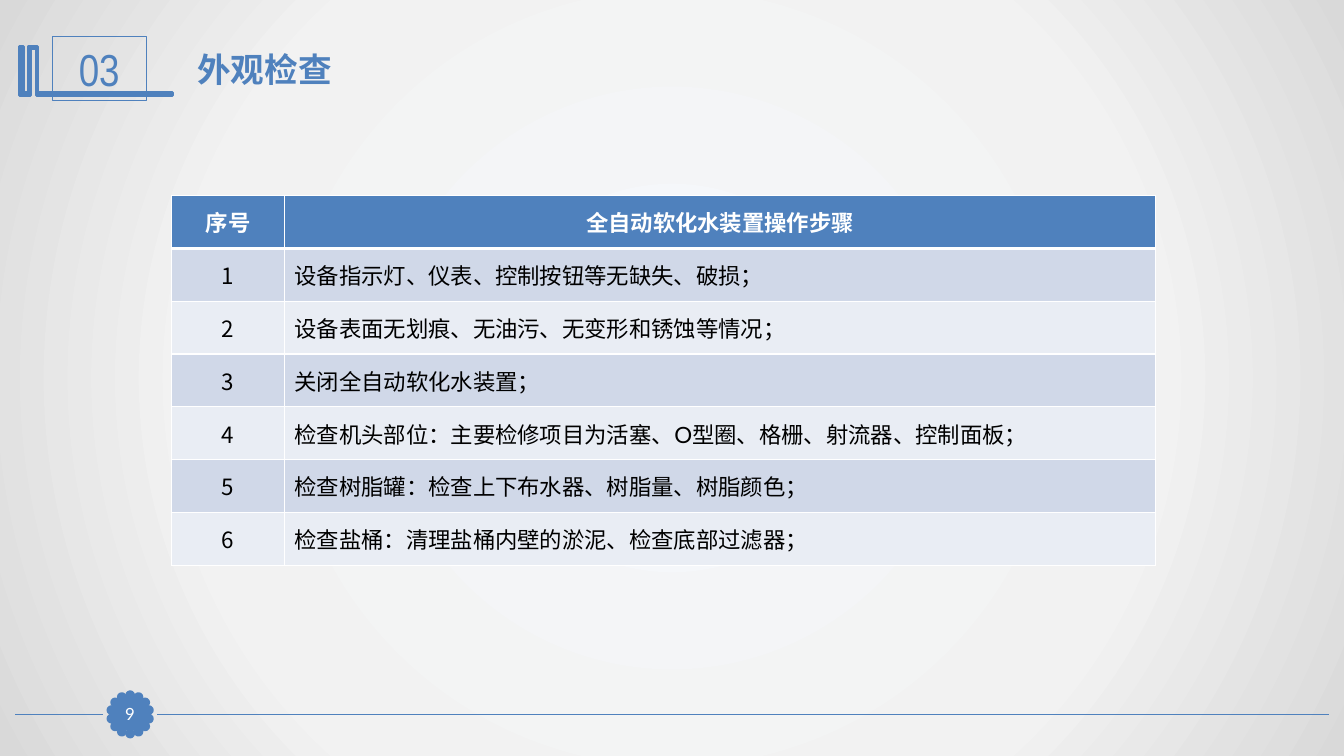
"""Build the appearance check slide with its table of steps."""
from math import cos, pi, sin

from lxml import etree
from pptx import Presentation
from pptx.dml.color import RGBColor
from pptx.enum.shapes import MSO_CONNECTOR, MSO_SHAPE
from pptx.enum.text import MSO_ANCHOR, PP_ALIGN
from pptx.oxml import parse_xml
from pptx.oxml.ns import nsdecls, qn
from pptx.util import Pt

BLUE = RGBColor(0x4F, 0x81, 0xBD)
WHITE = RGBColor(0xFF, 0xFF, 0xFF)
BLACK = RGBColor(0, 0, 0)
DARK = RGBColor(0xD0, 0xD8, 0xE8)
LIGHT = RGBColor(0xE9, 0xED, 0xF4)
LINE = MSO_CONNECTOR.STRAIGHT
RECT, OVAL = MSO_SHAPE.RECTANGLE, MSO_SHAPE.OVAL
MID = MSO_ANCHOR.MIDDLE
LEFT, CENTER = PP_ALIGN.LEFT, PP_ALIGN.CENTER
NOTO = "Noto Sans CJK SC"


def paint(shape, fill, width):
    shape.shadow.inherit = False
    if fill:
        shape.fill.solid()
        shape.fill.fore_color.rgb = fill
    else:
        shape.fill.background()
    shape.line.color.rgb = BLUE
    shape.line.width = Pt(width)


def write(frame, text, size, face, color, bold=False, align=CENTER):
    frame.text = text
    para = frame.paragraphs[0]
    para.alignment = align
    font = para.runs[0].font
    font.size, font.name, font.bold = Pt(size), face, bold
    font.color.rgb = color


deck = Presentation()
deck.slide_width, deck.slide_height = Pt(960), Pt(540)
slide = deck.slides.add_slide(deck.slide_layouts[6])
shapes = slide.shapes

slide.background.fill.gradient()
grad = slide.element.find(".//" + qn("a:gradFill"))
stops = "".join(
    f'<a:gs pos="{pos}"><a:srgbClr val="{tone}"/></a:gs>'
    for pos, tone in ((0, "F6F9FC"), (63000, "F2F2F2"), (100000, "D9D9D9")))
grad.getparent().replace(grad, parse_xml(
    f'<a:gradFill {nsdecls("a")} rotWithShape="1"><a:gsLst>{stops}</a:gsLst>'
    '<a:path path="circle"><a:fillToRect l="50000" t="50000" r="50000" '
    'b="50000"/></a:path></a:gradFill>'))

for start, end in ((949, 112.3), (73.4, 10.8)):
    rule = shapes.add_connector(LINE, Pt(start), Pt(510.3), Pt(end), Pt(510.3))
    rule.line.color.rgb = BLUE
    rule.line.width = Pt(1.25)
    etree.SubElement(rule.element.spPr, qn("a:effectLst"))

DOTS, RING, DOT = 14, 13.7, 5
for num in range(DOTS):
    turn = 2 * pi * num / DOTS
    left = 93 + RING * sin(turn) - DOT / 2
    top = 510.3 - RING * cos(turn) - DOT / 2
    dot = shapes.add_shape(OVAL, Pt(left), Pt(top), Pt(DOT), Pt(DOT))
    paint(dot, BLUE, 2)

marks = [(27.4, 33.1), (27.4, 66.2), (123.1, 66.2), (123.1, 67.7),
         (25.9, 67.7), (25.9, 34.6), (22.3, 34.6), (22.3, 67.7),
         (13.7, 67.7), (13.7, 33.1), (16.6, 33.1), (16.6, 65.5),
         (20.2, 65.5), (20.2, 33.1)]
path = shapes.build_freeform(26.6, 33.1, scale=Pt(1))
path.add_line_segments(marks, close=True)
paint(path.convert_to_shape(), BLUE, 2)

box = shapes.add_shape(RECT, Pt(37.4), Pt(25.9), Pt(67), Pt(46.1))
paint(box, None, 0.75)
box.text_frame.vertical_anchor = MID
write(box.text_frame, "03", 32, "Arial Narrow", BLUE)

badge = shapes.add_shape(RECT, Pt(81.4), Pt(499), Pt(23), Pt(22.3))
paint(badge, BLUE, 0.75)
frame = badge.text_frame
frame.margin_left = frame.margin_right = frame.margin_top = frame.margin_bottom = 0
frame.vertical_anchor = MID
write(frame, "9", 12, "Lato", WHITE)

title = shapes.add_textbox(Pt(133.9), Pt(31.7), Pt(697.7), Pt(36.7))
title.text_frame.word_wrap = True
write(title.text_frame, "外观检查", 24, "Lato", BLUE, True, LEFT)

steps = ["设备指示灯、仪表、控制按钮等无缺失、破损；",
         "设备表面无划痕、无油污、无变形和锈蚀等情况；",
         "关闭全自动软化水装置；",
         "检查机头部位：主要检修项目为活塞、O型圈、格栅、射流器、控制面板；",
         "检查树脂罐：检查上下布水器、树脂量、树脂颜色；",
         "检查盐桶：清理盐桶内壁的淤泥、检查底部过滤器；"]
rows = [("序号", "全自动软化水装置操作步骤")]
rows += [(str(num), step) for num, step in enumerate(steps, 1)]
table = shapes.add_table(len(rows), 2, Pt(122.6), Pt(139.7),
                         Pt(703), Pt(264.25)).table
table.columns[0].width, table.columns[1].width = Pt(80.6), Pt(622.4)
for r, row in enumerate(rows):
    table.rows[r].height = Pt(37.75)
    for c, text in enumerate(row):
        cell = table.cell(r, c)
        cell.vertical_anchor = MID
        cell.fill.solid()
        if r == 0:
            cell.fill.fore_color.rgb = BLUE
            write(cell.text_frame, text, 16, "Lato", WHITE, True)
        else:
            cell.fill.fore_color.rgb = DARK if r % 2 else LIGHT
            write(cell.text_frame, text, 16, "Lato" if c else NOTO, BLACK,
                  align=LEFT if c else CENTER)
        for spot, side in enumerate("LRTB"):
            thick = (r, side) in ((0, "B"), (1, "T"))
            cell._tc.get_or_add_tcPr().insert(spot, parse_xml(
                f'<a:ln{side} {nsdecls("a")} w="{Pt(3 if thick else 1)}">'
                f'<a:solidFill><a:srgbClr val="{WHITE}"/></a:solidFill>'
                f'</a:ln{side}>'))

deck.save("out.pptx")
